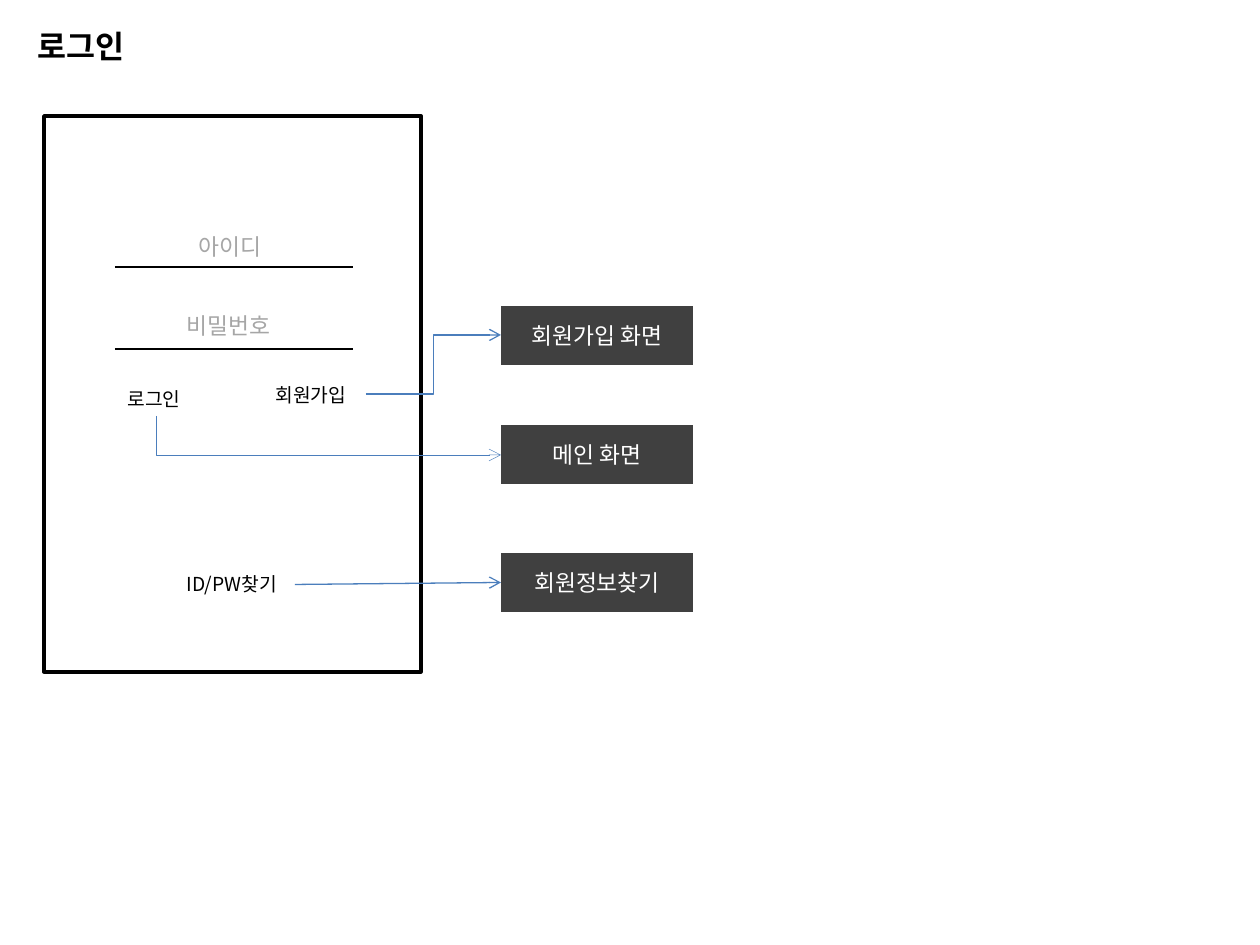
import pptx
import pptx.dml.color
import pptx.enum.shapes
import pptx.enum.text
import pptx.oxml
import pptx.oxml.ns
import pptx.util
from dataclasses import dataclass

SHAPE = pptx.enum.shapes.MSO_SHAPE
CONNECTOR = pptx.enum.shapes.MSO_CONNECTOR
TEXT = pptx.enum.text
RIGHT_SIDE, LEFT_SIDE = 3, 1


@dataclass(frozen=True)
class Theme:
    font: str = "Noto Sans CJK KR"
    ink: str = "000000"
    hint: str = "A6A6A6"
    target: str = "404040"
    light: str = "FFFFFF"
    flow: str = "4B7EBC"
    title_size: int = 18
    field_size: int = 13
    label_size: int = 11
    frame_width: float = 2
    line_width: float = 0.75
    thin_width: float = 0.25


THEME = Theme()


def px(length):
    return round(length * 914400 / 126)


def rgb(code):
    return pptx.dml.color.RGBColor.from_string(code)


def sub_element(parent, tag, **attributes):
    element = parent.makeelement(pptx.oxml.ns.qn(tag), attributes)
    parent.append(element)
    return element


def write_text(frame, text, size, color, bold=False):
    span = frame.paragraphs[0].add_run()
    span.text = text
    formats = {"name": THEME.font, "size": pptx.util.Pt(size), "bold": bold}
    for name, value in formats.items():
        setattr(span.font, name, value)
    span.font.color.rgb = rgb(color)
    sub_element(span.font._element, "a:ea", typeface=THEME.font)


def add_label(page, box, text, size, color=THEME.ink, bold=False):
    label = page.shapes.add_textbox(*map(px, box))
    formats = {"word_wrap": False, "auto_size": TEXT.MSO_AUTO_SIZE.SHAPE_TO_FIT_TEXT}
    for name, value in formats.items():
        setattr(label.text_frame, name, value)
    write_text(label.text_frame, text, size, color, bold)
    return label


def add_line(page, start, end, color, width, kind=CONNECTOR.STRAIGHT, arrow=False):
    line = page.shapes.add_connector(kind, *map(px, start + end))
    line.line.color.rgb = rgb(color)
    line.line.width = pptx.util.Pt(width)
    if arrow:
        sub_element(line.line._get_or_add_ln(), "a:tailEnd", type="arrow")
    sub_element(line._element.spPr, "a:effectLst")
    return line


def add_down_right_arrow(page, start, end):
    """Run down from start, then right to end: a mirrored elbow turned by 270 degrees."""
    arrow = add_line(page, start, end, THEME.flow, THEME.thin_width, CONNECTOR.ELBOW, True)
    across, down = end[0] - start[0], end[1] - start[1]
    places = {
        "left": px((start[0] + end[0] - down) / 2),
        "top": px((start[1] + end[1] - across) / 2),
        "width": px(down),
        "height": px(across),
    }
    for name, value in places.items():
        setattr(arrow, name, value)
    properties = arrow._element.spPr
    properties.find(pptx.oxml.ns.qn("a:xfrm")).set("rot", str(270 * 60000))
    properties.find(pptx.oxml.ns.qn("a:xfrm")).set("flipH", "1")
    properties.find(pptx.oxml.ns.qn("a:prstGeom")).set("prst", "bentConnector2")


def add_login_panel(page, box):
    """Draw the login screen and return its password recovery label."""
    left, top, _, _ = box
    frame = page.shapes.add_shape(SHAPE.RECTANGLE, *map(px, box))
    frame.shadow.inherit = False
    frame.fill.background()
    frame.line.color.rgb = rgb(THEME.ink)
    frame.line.width = pptx.util.Pt(THEME.frame_width)

    for y in (151, 233):
        add_line(page, (left + 71, top + y), (left + 309, top + y), THEME.ink, THEME.line_width)

    def place(x, y, width, height, *style):
        return add_label(page, (left + x, top + y, width, height), *style)

    place(142, 111, 95, 40, "아이디", THEME.field_size, THEME.hint)
    place(130, 190, 117, 40, "비밀번호", THEME.field_size, THEME.hint)
    place(219, 261, 103, 37, "회원가입", THEME.label_size)
    place(71, 265, 83, 37, "로그인", THEME.label_size)
    return place(130, 450, 121, 37, "ID/PW찾기", THEME.label_size)


def add_target(page, box, text):
    target = page.shapes.add_shape(SHAPE.FLOWCHART_PROCESS, *map(px, box))
    target.shadow.inherit = False
    target.fill.solid()
    target.fill.fore_color.rgb = rgb(THEME.target)
    target.line.fill.background()
    target.text_frame.vertical_anchor = TEXT.MSO_ANCHOR.MIDDLE
    target.text_frame.paragraphs[0].alignment = TEXT.PP_ALIGN.CENTER
    write_text(target.text_frame, text, THEME.field_size, THEME.light)
    return target


def add_targets(page, box):
    """Draw the screens the login leads to and return the last one."""
    left, top, width, height = box
    rows = ((0, "회원가입 화면"), (119, "메인 화면"), (247, "회원정보찾기"))
    return [add_target(page, (left, top + y, width, height), text) for y, text in rows][-1]


def add_flows(page, recovery_label, recovery_screen):
    add_down_right_arrow(page, (156, 416), (501, 455))
    add_line(page, (366, 394), (501, 335), THEME.flow, THEME.line_width, CONNECTOR.ELBOW, True)
    recovery = add_line(page, (295, 583), (501, 583), THEME.flow, THEME.line_width, arrow=True)
    recovery.begin_connect(recovery_label, RIGHT_SIDE)
    recovery.end_connect(recovery_screen, LEFT_SIDE)


def main():
    deck = pptx.Presentation()
    deck.slide_width, deck.slide_height = px(1260), px(945)
    page = deck.slides.add_slide(deck.slide_layouts[6])
    add_label(page, (25, 21, 121, 50), "로그인", THEME.title_size, bold=True)
    recovery_label = add_login_panel(page, (44, 116, 377, 556))
    recovery_screen = add_targets(page, (501, 306, 192, 59))
    add_flows(page, recovery_label, recovery_screen)
    deck.save("out.pptx")


if __name__ == "__main__":
    main()
